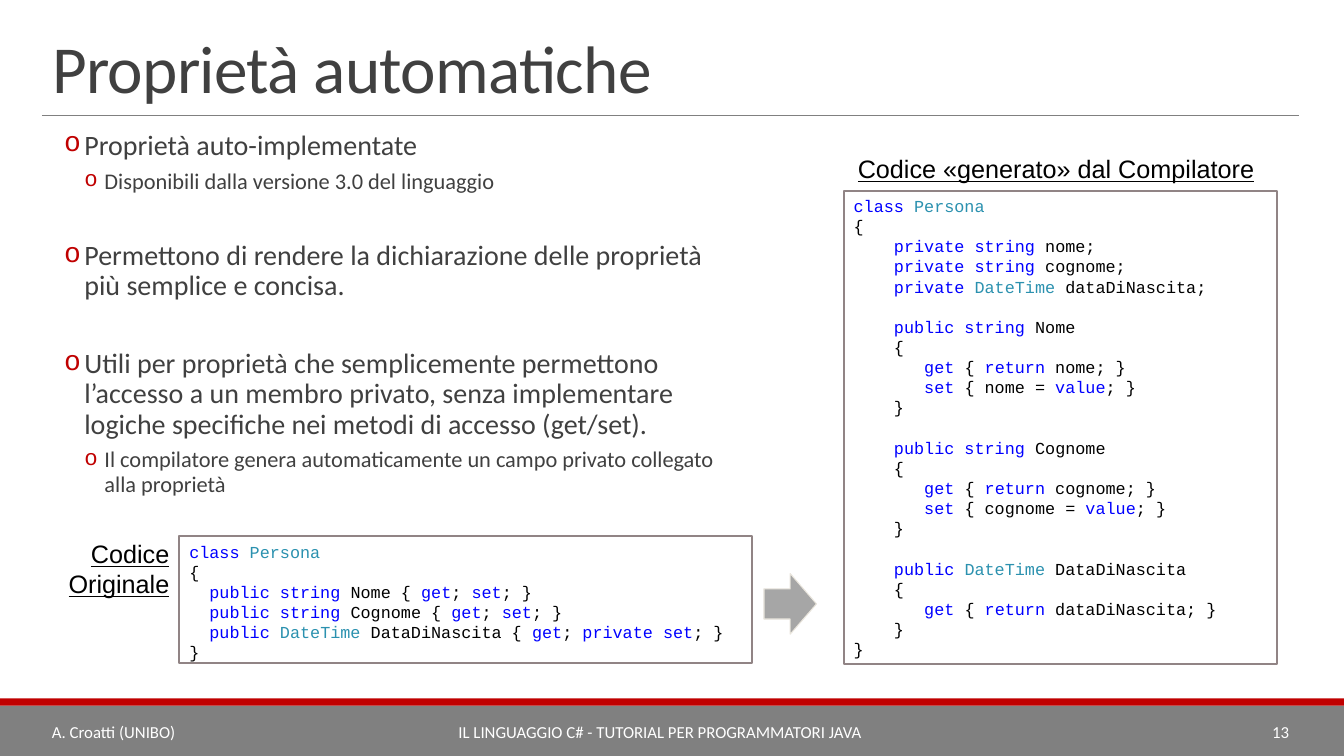
from itertools import groupby

from lxml.etree import SubElement
from pptx import Presentation
from pptx.dml.color import RGBColor
from pptx.enum.shapes import MSO_CONNECTOR as Connector, MSO_SHAPE as Shape
from pptx.enum.text import MSO_ANCHOR as Anchor, MSO_AUTO_SIZE as AutoSize, PP_ALIGN as Align
from pptx.oxml.ns import qn
from pptx.util import Inches, Pt

COLOURS = {
    "text": "404040", "code": "000000", "keyword": "0000FF", "type": "2B91AF",
    "accent": "C00000", "grey": "808080", "frame": "918485", "white": "FFFFFF",
    "arrow": "A6A6A6", "arrow edge": "E9E5DC",
}
# The slide is a grid of 32 columns by 18 rows
CELL = Inches(13.333) / 32
KEYWORDS = {"class", "private", "public", "string", "get", "set", "return", "value"}
TYPES = {"Persona", "DateTime"}

# Level and text of each bullet; a gap goes before every later main point
POINTS = [
    (0, "Proprietà auto-implementate"),
    (1, "Disponibili dalla versione 3.0 del linguaggio"),
    (0, "Permettono di rendere la dichiarazione delle proprietà più semplice e concisa."),
    (0, "Utili per proprietà che semplicemente permettono l’accesso a un membro privato, "
        "senza implementare logiche specifiche nei metodi di accesso (get/set)."),
    (1, "Il compilatore genera automaticamente un campo privato collegato alla proprietà"),
]
ORIGINAL_CODE = """class Persona
{
  public string Nome { get; set; }
  public string Cognome { get; set; }
  public DateTime DataDiNascita { get; private set; }
}"""
GENERATED_CODE = """class Persona
{
    private string nome;
    private string cognome;
    private DateTime dataDiNascita;

    public string Nome
    {
       get { return nome; }
       set { nome = value; }
    }

    public string Cognome
    {
       get { return cognome; }
       set { cognome = value; }
    }

    public DateTime DataDiNascita
    {
       get { return dataDiNascita; }
    }
}"""


def cells(*counts):
    return [round(count * CELL) for count in counts]


def colour(name):
    return RGBColor.from_string(COLOURS[name])


def style(span, font, size, tint):
    span.font.name, span.font.size = font, Pt(size)
    span.font.color.rgb = colour(tint)


def move(placeholder, left, top, width, height):
    placeholder.left, placeholder.top, placeholder.width, placeholder.height = cells(
        left, top, width, height)
    placeholder.text_frame.auto_size = AutoSize.NONE


def add_block(page, kind, area, fill, edge=None, weight=1.0):
    block = page.shapes.add_shape(kind, *cells(*area))
    block.shadow.inherit = False
    block.fill.solid()
    block.fill.fore_color.rgb = colour(fill)
    if edge:
        block.line.color.rgb, block.line.width = colour(edge), Pt(weight)
    else:
        block.line.fill.background()
    return block


def add_rule(page, left, right, row):
    rule = page.shapes.add_connector(Connector.STRAIGHT, *cells(left, row, right, row))
    rule.line.color.rgb, rule.line.width = colour("grey"), Pt(0.5)
    SubElement(rule._element.spPr, qn("a:effectLst"))


def add_label(page, area, text, align, font, size, tint, wrap=True, underline=False):
    frame = page.shapes.add_textbox(*cells(*area)).text_frame
    frame.text, frame.word_wrap = text, wrap
    frame.vertical_anchor = Anchor.MIDDLE if wrap else Anchor.TOP
    for para in frame.paragraphs:
        para.alignment = align
        for span in para.runs:
            style(span, font, size, tint)
            span.font.underline = underline


def fill_title(title, text):
    move(title, 1, 0.74, 29.93, 1.94)
    frame = title.text_frame
    frame.text, frame.vertical_anchor = text, Anchor.BOTTOM
    para = frame.paragraphs[0]
    para.alignment, para.line_spacing = Align.LEFT, 0.85
    style(para.runs[0], "Calibri", 48, "text")
    para.runs[0].font._element.set("spc", "-50")


def fill_points(body, points):
    move(body, 1, 3, 16.54, 12.98)
    frame = body.text_frame
    frame.margin_left = frame.margin_right = 0
    frame.text = "\n".join(text for _, text in points)
    for number, (para, (level, _)) in enumerate(zip(frame.paragraphs, points)):
        para.level, para.line_spacing = level, 0.9
        para.space_before = Pt(30 if number and level == 0 else 2)
        para.space_after = Pt(4)
        style(para.runs[0], "Calibri", 16 if level else 20, "text")
        # Round bullet in the accent colour
        props = para._p.get_or_add_pPr()
        props.set("marL", str(Inches(0.42 + 0.2 * level)))
        props.set("indent", str(-Inches(0.2)))
        tint = SubElement(props, qn("a:buClr"))
        SubElement(tint, qn("a:srgbClr")).set("val", COLOURS["accent"])
        SubElement(props, qn("a:buFont")).set("typeface", "Courier New")
        SubElement(props, qn("a:buChar")).set("char", "o")


def colour_words(line):
    """Return (tint, text) pieces, with the semicolon apart from its word."""
    pieces = []
    for word in line.split(" "):
        core = word.rstrip(";")
        tint = "keyword" if core in KEYWORDS else "type" if core in TYPES else "code"
        tail = word[len(core):] + " "
        pieces += [(tint, core), ("code" if tail != " " else tint, tail)]
    pieces[-1] = (pieces[-1][0], pieces[-1][1].rstrip())
    return [piece for piece in pieces if piece[1]]


def add_code(page, area, code):
    frame = add_block(page, Shape.RECTANGLE, area, "white", "frame", 1.25).text_frame
    frame.word_wrap, frame.vertical_anchor = True, Anchor.TOP
    frame.margin_bottom = 0
    lines = code.split("\n")
    for number, line in enumerate(lines):
        if not line:
            continue
        para = frame.add_paragraph() if number else frame.paragraphs[0]
        para.alignment = Align.LEFT
        if number and not lines[number - 1]:
            para.space_before = Pt(14.4)
        # One character of 12 pt code is 0.1 inch wide
        depth = len(line) - len(line.lstrip())
        para._p.get_or_add_pPr().set("marL", str(Inches(0.1 * depth)))
        for tint, group in groupby(colour_words(line.lstrip()), key=lambda piece: piece[0]):
            span = para.add_run()
            span.text = "".join(text for _, text in group)
            style(span, "Courier New", 12, tint)


def main():
    deck = Presentation()
    deck.slide_width, deck.slide_height = cells(32, 18)
    page = deck.slides.add_slide(deck.slide_layouts[1])

    # Footer band and title rule
    add_block(page, Shape.RECTANGLE, (0, 16.8, 32, 1.2), "grey")
    add_block(page, Shape.RECTANGLE, (0, 16.63, 32, 0.17), "accent")
    add_rule(page, 1, 30.93, 2.74)

    # Title and main points
    fill_title(page.shapes.title, "Proprietà automatiche")
    fill_points(page.placeholders[1], POINTS)

    # Code before and after compilation
    add_code(page, (20.09, 4.54, 10.32, 11.28), GENERATED_CODE)
    add_code(page, (4.27, 12.77, 13.63, 3.02), ORIGINAL_CODE)
    add_block(page, Shape.RIGHT_ARROW, (18.19, 13.66, 1.25, 1.44), "arrow", "arrow edge", 0.75)
    for area, text in [
        ((1.37, 12.7, 2.9, 1.7), "Codice\nOriginale"),
        ((20.09, 3.53, 10.01, 0.96), "Codice «generato» dal Compilatore"),
    ]:
        add_label(page, area, text, Align.RIGHT, "Arial", 18, "code", False, True)

    # Footer texts
    for left, width, align, text in [
        (1, 4.44, Align.LEFT, "A. Croatti (UNIBO)"),
        (5.45, 20.54, Align.CENTER, "IL LINGUAGGIO C# - TUTORIAL PER PROGRAMMATORI JAVA"),
        (25.99, 4.94, Align.RIGHT, "13"),
    ]:
        add_label(page, (left, 16.94, width, 0.96), text, align, "Calibri", 12, "white")

    deck.save("out.pptx")


if __name__ == "__main__":
    main()
